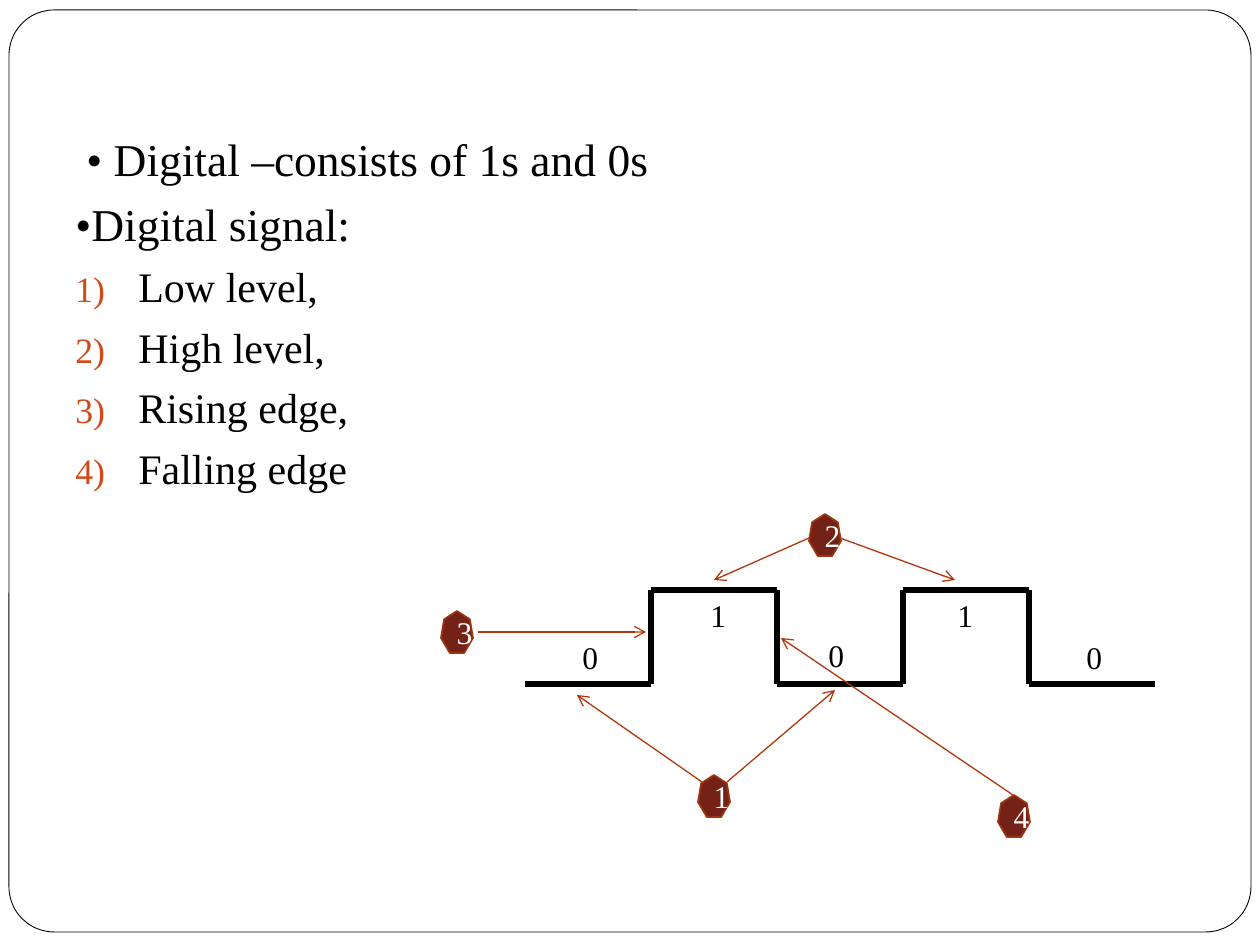
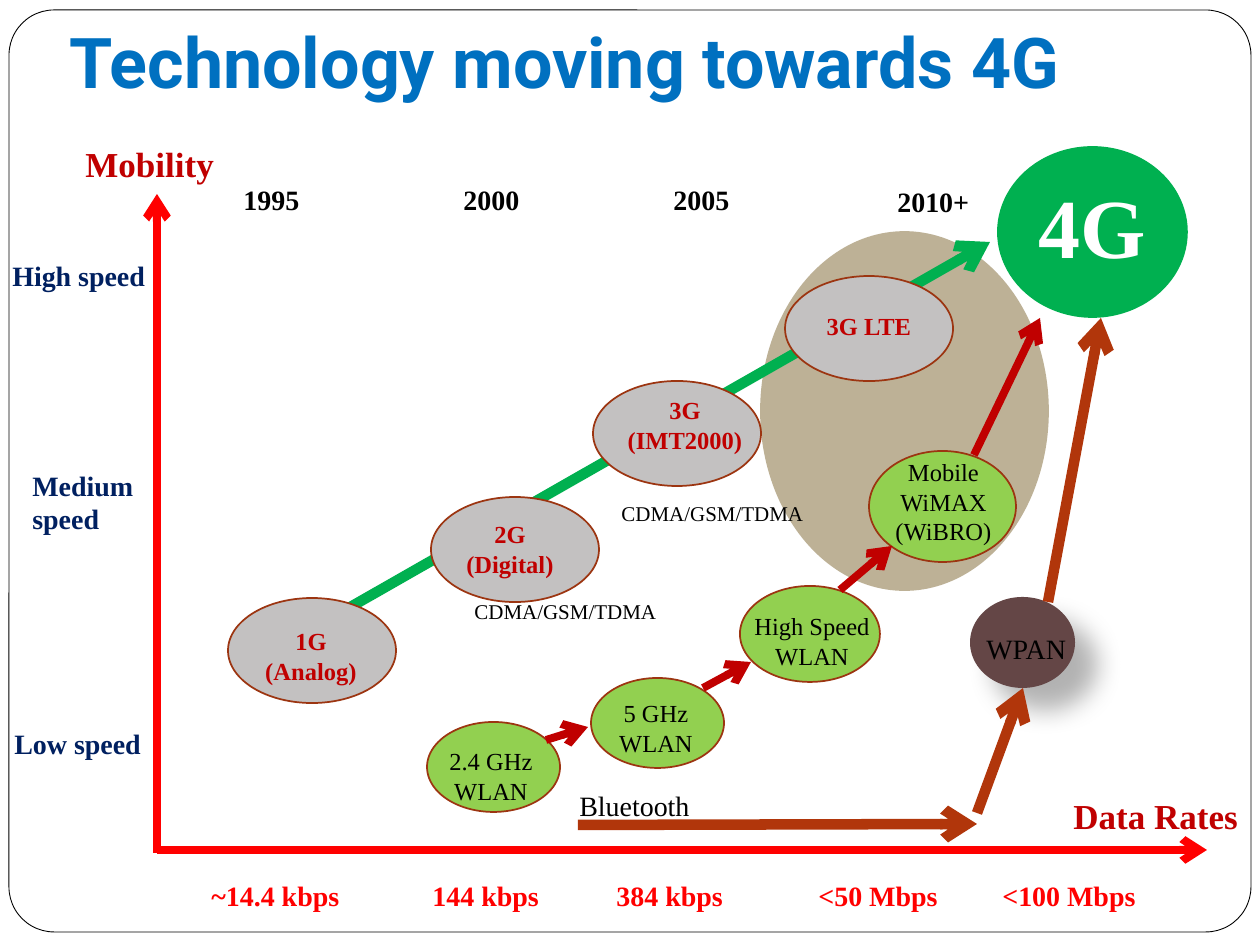
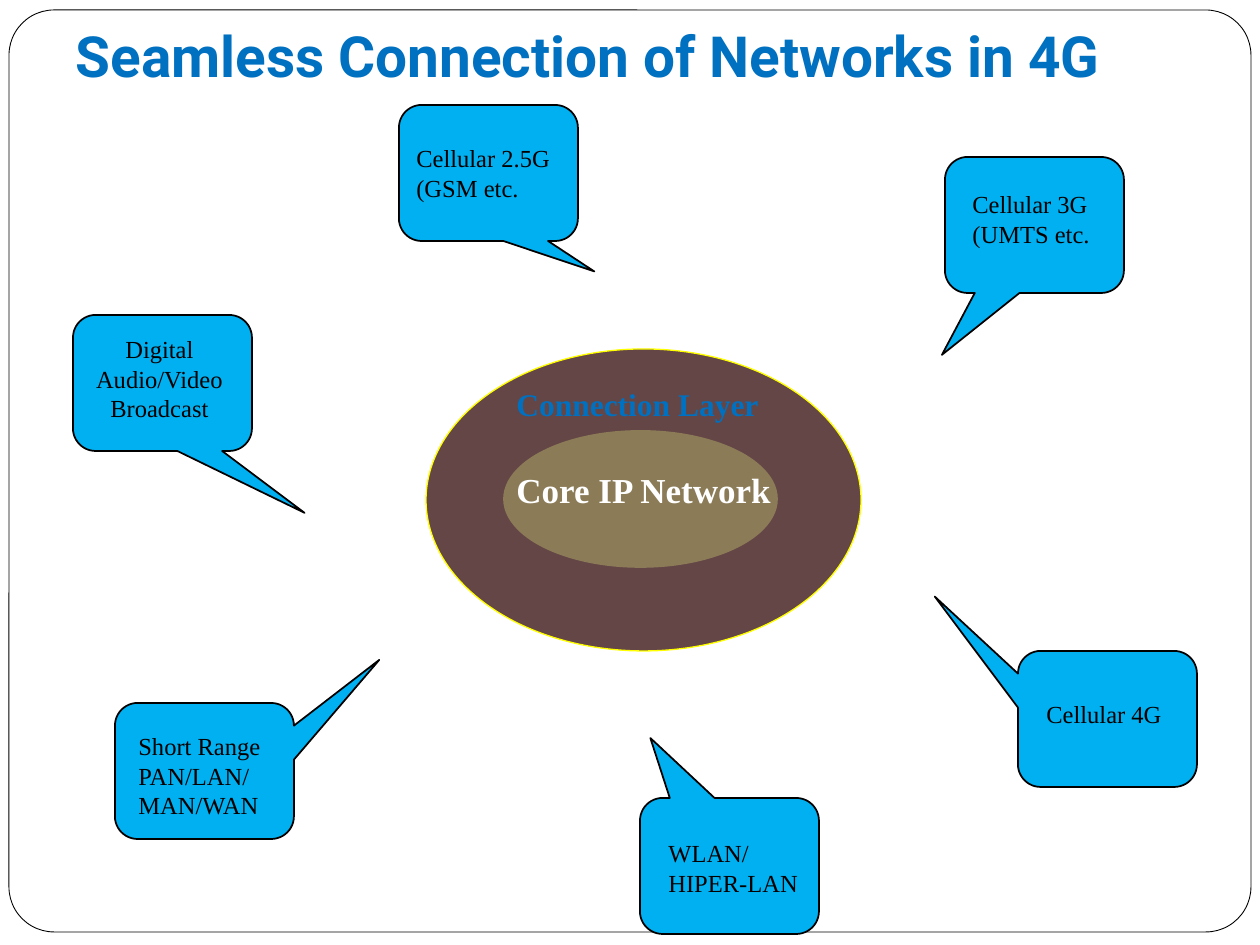
from itertools import pairwise

from lxml import etree
from pptx import Presentation
from pptx.dml.color import RGBColor
from pptx.enum.shapes import MSO_CONNECTOR, MSO_SHAPE
from pptx.enum.text import MSO_ANCHOR, MSO_AUTO_SIZE, PP_ALIGN
from pptx.oxml.ns import qn
from pptx.util import Emu, Pt

STRAIGHT = MSO_CONNECTOR.STRAIGHT
OVAL = MSO_SHAPE.OVAL
HEPTAGON = MSO_SHAPE.HEPTAGON
CALLOUT = MSO_SHAPE.ROUNDED_RECTANGULAR_CALLOUT
FRAME = MSO_SHAPE.ROUNDED_RECTANGLE
LEFT, CENTER = PP_ALIGN.LEFT, PP_ALIGN.CENTER

SERIF, SANS = "Times New Roman", "Roboto"
PX_PER_INCH = 126
TITLE_ONLY, BLANK = 5, 6
COLORS = {
    "black": "000000", "white": "FFFFFF", "title": "0070C0", "number": "D34817",
    "badge": "742217", "outline": "9C3511", "rust": "B1360B", "red": "FF0000",
    "crimson": "C00000", "navy": "002060", "green": "00B050", "lime": "92D050",
    "gray": "C3C1C1", "sand": "BDB196", "brown": "644646", "olive": "8B7B57",
    "sky": "00B0F0", "yellow": "FFFF00",
}


def px(length):
    return Emu(round(length * 914400 / PX_PER_INCH))


def rgb(name):
    return RGBColor.from_string(COLORS[name])


def style_runs(para, size, color="black", bold=False, font=SERIF):
    for span in para.runs:
        span.font.name = font
        span.font.size = Pt(size)
        span.font.bold = bold
        span.font.color.rgb = rgb(color)


def add_text(page, box, text, size, color="black", bold=False, align=LEFT):
    label = page.shapes.add_textbox(*map(px, box))
    frame = label.text_frame
    frame.word_wrap = True
    frame.auto_size = MSO_AUTO_SIZE.SHAPE_TO_FIT_TEXT
    frame.text = text
    for para in frame.paragraphs:
        para.alignment = align
        style_runs(para, size, color, bold)
    return label


def add_figure(page, kind, box, fill, line=None, width=1.0, adjust=()):
    figure = page.shapes.add_shape(kind, *map(px, box))
    figure.shadow.inherit = False
    figure.fill.solid()
    figure.fill.fore_color.rgb = rgb(fill)
    if line:
        figure.line.color.rgb = rgb(line)
        figure.line.width = Pt(width)
    else:
        figure.line.fill.background()
    for index, value in enumerate(adjust):
        figure.adjustments[index] = value
    return figure


def add_line(page, start, end, color, width, arrow=True):
    line = page.shapes.add_connector(STRAIGHT, *map(px, (*start, *end)))
    line.line.color.rgb = rgb(color)
    line.line.width = Pt(width)
    properties = line.element.spPr
    if arrow:
        outline = properties.find(qn("a:ln"))
        etree.SubElement(outline, qn("a:tailEnd"), type="arrow")
    etree.SubElement(properties, qn("a:effectLst"))


def add_drop_shadow(figure):
    effects = figure.element.spPr.find(qn("a:effectLst"))
    shadow = etree.SubElement(effects, qn("a:outerShdw"), blurRad=str(Pt(15)),
                              dist=str(Pt(18)), dir="2700000", rotWithShape="0")
    shade = etree.SubElement(shadow, qn("a:srgbClr"), val=COLORS["black"])
    etree.SubElement(shade, qn("a:alpha"), val="30000")


def set_title(page, box, text, size):
    title = page.shapes.title
    title.left, title.top, title.width, title.height = map(px, box)
    frame = title.text_frame
    frame.word_wrap = True
    frame.auto_size = MSO_AUTO_SIZE.NONE
    frame.vertical_anchor = MSO_ANCHOR.BOTTOM
    frame.margin_bottom = px(13)
    frame.text = text
    para = frame.paragraphs[0]
    para.alignment = LEFT
    style_runs(para, size, "title", True, SANS)


def number_paragraph(para):
    properties = para._p.get_or_add_pPr()
    properties.set("marL", str(px(63)))
    properties.set("indent", str(-px(63)))
    color = etree.SubElement(properties, qn("a:buClr"))
    etree.SubElement(color, qn("a:srgbClr"), val=COLORS["number"])
    etree.SubElement(properties, qn("a:buSzPct"), val="85000")
    etree.SubElement(properties, qn("a:buAutoNum"), type="arabicParenR")


def add_master_frame(deck, page):
    """Build the rounded page frame and move it to the master."""
    frame = add_figure(page, FRAME, (9, 10, 1242, 922), "white", "black", 0.5, [0.049])
    deck.slide_master.shapes.element.insert(2, frame.element)


def build_signal(page):
    # Definition and numbered signal states
    text = ("• Digital –consists of 1s and 0s\n•Digital signal:\n"
            "Low level,\nHigh level,\nRising edge,\nFalling edge")
    body = add_text(page, (63, 125, 1134, 390), text, 26)
    paras = body.text_frame.paragraphs
    paras[0]._p.get_or_add_pPr().set("marL", str(px(11)))
    for para in paras[1:]:
        para.space_before = Pt(5.8)
    for para in paras[2:]:
        number_paragraph(para)
        style_runs(para, 24)

    # Square wave: five bits of equal width
    left, step, levels = 525, 126, (684, 590)
    corners = []
    for index in range(5):
        level = levels[index % 2]
        corners += [(left + step * index, level), (left + step * (index + 1), level)]
    for start, end in pairwise(corners):
        add_line(page, start, end, "black", 3, arrow=False)
    for bit, x, y in (("0", 570, 632), ("1", 698, 590), ("0", 816, 630),
                      ("1", 945, 590), ("0", 1074, 632)):
        add_text(page, (x, y, 37, 50), bit, 18)

    # Numbered badges and their pointers
    for number, x, y in (("1", 698, 775), ("2", 809, 514), ("3", 441, 611), ("4", 998, 795)):
        badge = add_figure(page, HEPTAGON, (x, y, 32, 42), "badge", "outline")
        badge.text_frame.text = number
        para = badge.text_frame.paragraphs[0]
        para.alignment = CENTER
        style_runs(para, 18, "white")
    for start, end in (((702, 782), (577, 695)), ((727, 782), (835, 690)),
                       ((809, 538), (714, 580)), ((840, 538), (955, 580)),
                       ((478, 632), (646, 632)), ((1013, 795), (781, 638))):
        add_line(page, start, end, "rust", 0.75)


def build_evolution(page):
    add_figure(page, OVAL, (761, 232, 287, 358), "sand", "sand")
    add_line(page, (347, 609), (990, 242), "green", 6)
    set_title(page, (57, 0, 1134, 116), "Technology moving towards 4G", 40)

    # Axes and their names
    add_line(page, (157, 853), (157, 194), "red", 4.5)
    add_line(page, (157, 850), (1207, 850), "red", 4.5)
    add_text(page, (73, 136, 168, 55), "Mobility", 20, "crimson", True)
    add_text(page, (1061, 788, 205, 55), "Data Rates", 20, "crimson", True)

    # Scale labels: speed, year, data rate
    scales = {
        "navy": (("High speed", 0, 252, 168), ("Medium speed", 20, 462, 127),
                 ("Low speed", 2, 720, 155)),
        "black": (("1995", 231, 176, 84), ("2000", 451, 176, 84),
                  ("2005", 661, 176, 84), ("2010+", 885, 178, 105)),
        "red": (("~14.4 kbps", 199, 872, 168), ("144 kbps", 420, 872, 147),
                ("384 kbps", 604, 872, 147), ("<50 Mbps", 806, 872, 147),
                ("<100 Mbps", 990, 872, 169)),
    }
    for color, labels in scales.items():
        for text, x, y, width in labels:
            add_text(page, (x, y, width, 47), text, 16, color, True)

    # Cellular generations
    for oval, box, text in (
            ((228, 598), (243, 620, 136, 72), "1G\n(Analog)"),
            ((431, 497), (442, 513, 136, 72), "2G\n(Digital)"),
            ((593, 381), (609, 389, 152, 72), "3G\n(IMT2000)"),
            ((785, 276), (801, 305, 136, 43), "3G LTE")):
        add_figure(page, OVAL, (*oval, 168, 105), "gray", "outline")
        add_text(page, box, text, 14, "crimson", True, CENTER)
    add_figure(page, OVAL, (998, 147, 189, 170), "green", "green")
    add_text(page, (1019, 168, 146, 115), "4G", 48, "white", True, CENTER)

    # Wireless LAN family
    for oval, box, text in (
            ((427, 722, 133, 90), (423, 740, 136, 72), "2.4 GHz WLAN"),
            ((591, 678, 133, 90), (588, 692, 136, 72), "5 GHz WLAN"),
            ((740, 586, 140, 96), (735, 605, 154, 72), "High Speed WLAN"),
            ((869, 451, 147, 111), (862, 451, 163, 102), "Mobile WiMAX\n(WiBRO)")):
        add_figure(page, OVAL, oval, "lime", "outline")
        add_text(page, box, text, 14, align=CENTER)

    # Personal area network
    add_text(page, (567, 782, 147, 47), "Bluetooth", 16)
    add_drop_shadow(add_figure(page, OVAL, (970, 597, 105, 91), "brown"))
    add_text(page, (974, 625, 111, 47), "WPAN", 16)

    # Migration arrows
    for color, width, arrows in (
            ("crimson", 4.5, (((546, 740), (588, 727)), ((703, 688), (751, 662)),
                              ((840, 590), (892, 546)), ((974, 455), (1040, 318)))),
            ("rust", 6, (((1048, 602), (1101, 318)), ((578, 825), (977, 824)),
                         ((977, 813), (1023, 688))))):
        for start, end in arrows:
            add_line(page, start, end, color, width)
    for x, y in ((462, 592), (609, 494)):
        add_text(page, (x, y, 221, 38), "CDMA/GSM/TDMA", 12)


def build_networks(page):
    set_title(page, (63, 0, 1134, 102), "Seamless Connection of Networks in 4G", 32.4)

    # Core and connection layer
    add_figure(page, OVAL, (426, 349, 435, 302), "brown", "yellow", 0.75)
    add_figure(page, OVAL, (504, 431, 273, 136), "olive", "olive")
    add_text(page, (504, 462, 284, 55), "Core IP Network", 20, "white", True)
    add_text(page, (504, 379, 300, 50), "Connection Layer", 18, "title", True)

    # Callouts: corner, tip, text box, text, alignment
    for corner, tip, box, text, align in (
            ((73, 315), (0.794, 0.955), (78, 328, 163, 102),
             "Digital Audio/Video Broadcast", CENTER),
            ((945, 157), (-0.517, 0.955), (960, 183, 147, 72),
             "Cellular 3G (UMTS etc.", LEFT),
            ((1018, 651), (-0.965, -0.9), (1034, 693, 147, 43), "Cellular 4G", LEFT),
            ((399, 105), (0.592, 0.724), (404, 137, 174, 72),
             "Cellular 2.5G (GSM etc.", LEFT),
            ((640, 798), (-0.442, -0.941), (656, 832, 163, 72), "WLAN/\nHIPER-LAN", LEFT),
            ((115, 703), (0.977, -0.817), (126, 725, 163, 102),
             "Short Range PAN/LAN/\nMAN/WAN", LEFT)):
        add_figure(page, CALLOUT, (*corner, 179, 136), "sky", "black", 1, (*tip, 0.167))
        add_text(page, box, text, 14, align=align)


def main():
    deck = Presentation()
    deck.slide_width, deck.slide_height = px(1260), px(945)
    pages = [deck.slides.add_slide(deck.slide_layouts[layout])
             for layout in (BLANK, TITLE_ONLY, TITLE_ONLY)]
    add_master_frame(deck, pages[0])
    for build, page in zip((build_signal, build_evolution, build_networks), pages):
        build(page)
    deck.save("out.pptx")


if __name__ == "__main__":
    main()
